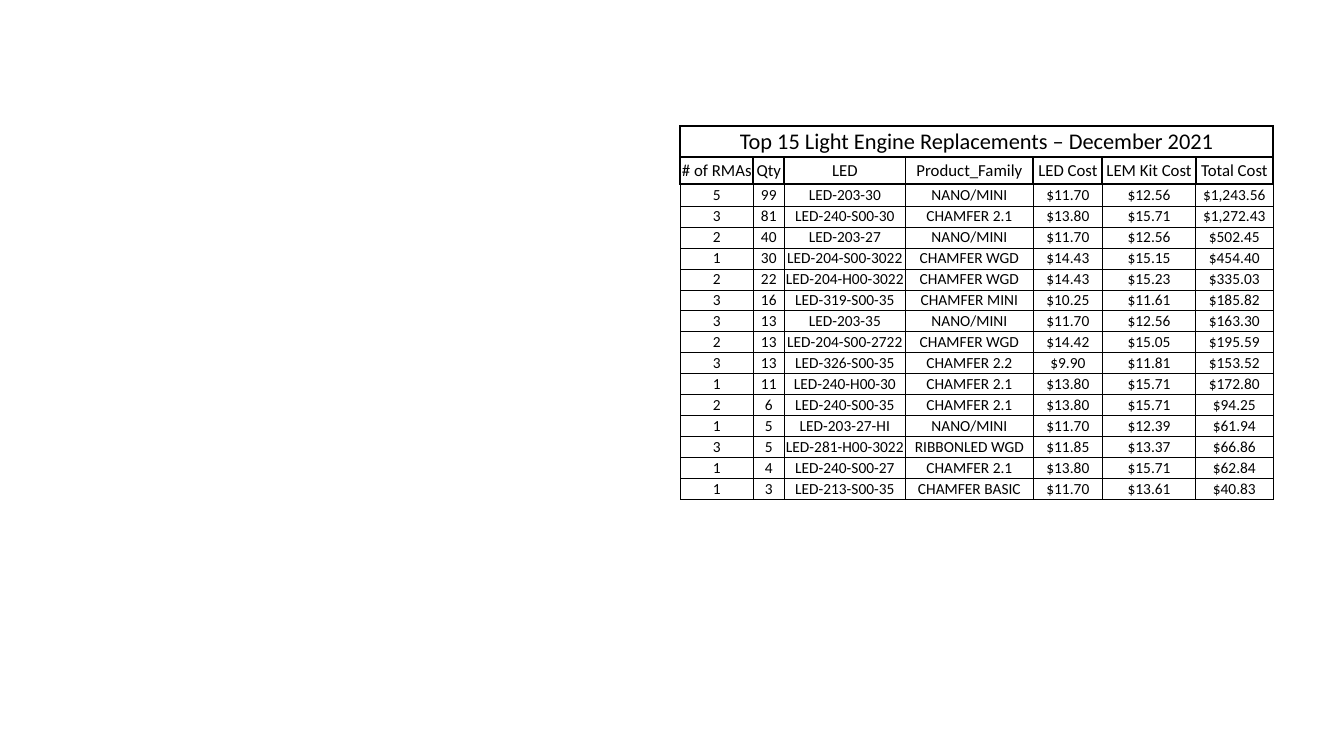
"""Build a slide with a table of the most replaced light engines."""
from dataclasses import dataclass

from lxml import etree
from pptx import Presentation
from pptx.dml.color import RGBColor
from pptx.enum import text
from pptx.oxml import ns
from pptx.util import Pt

TITLE = "Top 15 Light Engine Replacements – December 2021"
HEADERS = ("# of RMAs", "Qty", "LED", "Product_Family", "LED Cost", "LEM Kit Cost", "Total Cost")
PARTS = [
    ("5", "99", "LED-203-30", "NANO/MINI", "$11.70", "$12.56", "$1,243.56"),
    ("3", "81", "LED-240-S00-30", "CHAMFER 2.1", "$13.80", "$15.71", "$1,272.43"),
    ("2", "40", "LED-203-27", "NANO/MINI", "$11.70", "$12.56", "$502.45"),
    ("1", "30", "LED-204-S00-3022", "CHAMFER WGD", "$14.43", "$15.15", "$454.40"),
    ("2", "22", "LED-204-H00-3022", "CHAMFER WGD", "$14.43", "$15.23", "$335.03"),
    ("3", "16", "LED-319-S00-35", "CHAMFER MINI", "$10.25", "$11.61", "$185.82"),
    ("3", "13", "LED-203-35", "NANO/MINI", "$11.70", "$12.56", "$163.30"),
    ("2", "13", "LED-204-S00-2722", "CHAMFER WGD", "$14.42", "$15.05", "$195.59"),
    ("3", "13", "LED-326-S00-35", "CHAMFER 2.2", "$9.90", "$11.81", "$153.52"),
    ("1", "11", "LED-240-H00-30", "CHAMFER 2.1", "$13.80", "$15.71", "$172.80"),
    ("2", "6", "LED-240-S00-35", "CHAMFER 2.1", "$13.80", "$15.71", "$94.25"),
    ("1", "5", "LED-203-27-HI", "NANO/MINI", "$11.70", "$12.39", "$61.94"),
    ("3", "5", "LED-281-H00-3022", "RIBBONLED WGD", "$11.85", "$13.37", "$66.86"),
    ("1", "4", "LED-240-S00-27", "CHAMFER 2.1", "$13.80", "$15.71", "$62.84"),
    ("1", "3", "LED-213-S00-35", "CHAMFER BASIC", "$11.70", "$13.61", "$40.83"),
]
ROWS = [(TITLE,) + ("",) * (len(HEADERS) - 1), HEADERS] + PARTS
COL_WIDTHS = (52.1, 22.2, 86.5, 91.4, 49.3, 66.7, 55.1)
ROW_HEIGHTS = [22.3, 19.3, 15.5] + [15] * (len(PARTS) - 1)
LEFT, TOP = 486, 90


@dataclass(frozen=True)
class Theme:
    font: str = "Calibri"
    ink: str = "000000"
    paper: str = "FFFFFF"
    title: float = 16
    header: float = 12
    body: float = 11
    thick: float = 1.5
    thin: float = 0.5
    inset: float = 0.5


THEME = Theme()


def set_borders(cell, widths):
    tc_pr = cell._tc.get_or_add_tcPr()
    for side, width in widths.items():
        ln = etree.SubElement(tc_pr, ns.qn(f"a:ln{side}"), w=str(Pt(width)))
        fill = etree.SubElement(ln, ns.qn("a:solidFill"))
        etree.SubElement(fill, ns.qn("a:srgbClr"), val=THEME.ink)


def format_cell(cell, value, size, widths):
    set_borders(cell, widths)
    cell.fill.solid()
    cell.fill.fore_color.rgb = RGBColor.from_string(THEME.paper)
    cell.margin_left = cell.margin_right = cell.margin_top = Pt(THEME.inset)
    cell.margin_bottom = 0
    cell.vertical_anchor = text.MSO_ANCHOR.MIDDLE
    cell.text = value
    p = cell.text_frame.paragraphs[0]
    p.alignment = text.PP_ALIGN.CENTER
    p.font.name = THEME.font
    p.font.size = Pt(size)
    p.font.color.rgb = RGBColor.from_string(THEME.ink)


def add_parts_table(s):
    frame = s.shapes.add_table(len(ROWS), len(HEADERS), Pt(LEFT), Pt(TOP),
                               Pt(sum(COL_WIDTHS)), Pt(sum(ROW_HEIGHTS)))
    table = frame.table
    table.first_row = table.horz_banding = False
    for column, width in zip(table.columns, COL_WIDTHS):
        column.width = Pt(width)
    for row, height in zip(table.rows, ROW_HEIGHTS):
        row.height = Pt(height)
    sizes = [THEME.title, THEME.header] + [THEME.body] * len(PARTS)
    for i, (values, size) in enumerate(zip(ROWS, sizes)):
        widths = dict.fromkeys("LRTB", THEME.thick if i < 2 else THEME.thin)
        if i == 2:
            widths["T"] = THEME.thick
        for j, value in enumerate(values):
            format_cell(table.cell(i, j), value, size, widths)
    table.cell(0, 0).merge(table.cell(0, len(HEADERS) - 1))


def main():
    prs = Presentation()
    prs.slide_width, prs.slide_height = Pt(960), Pt(540)
    s = prs.slides.add_slide(prs.slide_layouts[6])
    add_parts_table(s)
    prs.save("out.pptx")


if __name__ == "__main__":
    main()
